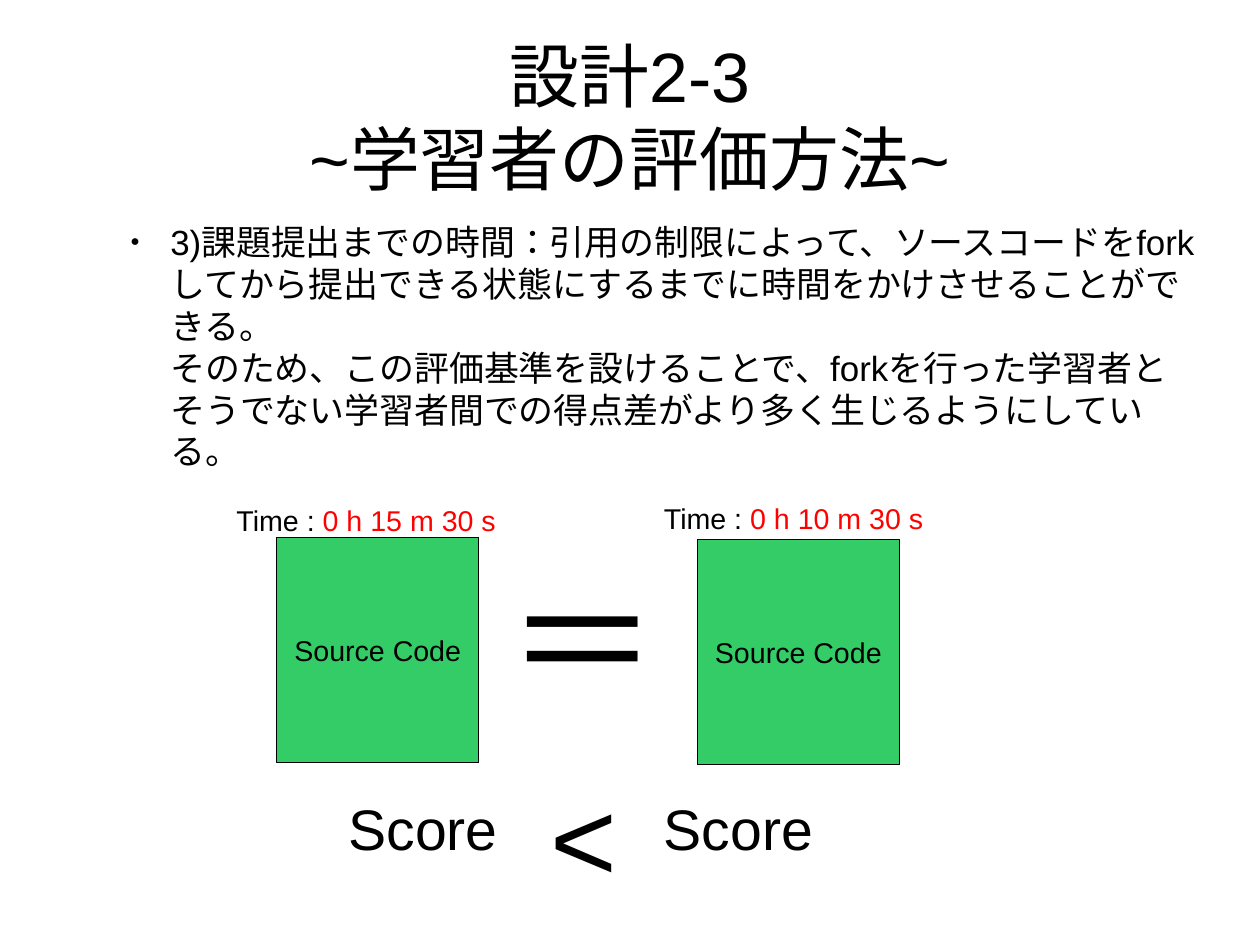
from dataclasses import dataclass
from typing import Any

from lxml import etree
from pptx import Presentation
from pptx import util as u
from pptx.dml.color import RGBColor
from pptx.enum import lang, shapes, text
from pptx.oxml import ns


def color(hex_string):
    return RGBColor.from_string(hex_string)


@dataclass
class SlideBuilder:
    slide: Any
    font: str = "Arial"
    ink: str = "000000"
    accent: str = "FF0000"
    box_fill: str = "33CC66"

    def style(self, paragraph, size, align):
        paragraph.alignment = align
        paragraph.font.name = self.font
        paragraph.font.size = u.Pt(size)
        paragraph.font.color.rgb = color(self.ink)
        # Japanese glyph forms, no punctuation beyond the margin
        paragraph._p.get_or_add_pPr().set("hangingPunct", "0")
        for run in paragraph.runs:
            run.font.language_id = lang.MSO_LANGUAGE_ID.JAPANESE

    def label(self, box, words, size, align=text.PP_ALIGN.LEFT,
              anchor=text.MSO_ANCHOR.TOP, inset=(0.1, 0.05), highlight=""):
        """Add a text box; the highlight follows the words in the accent color."""
        shape = self.slide.shapes.add_textbox(*map(u.Inches, box))
        frame = shape.text_frame
        frame.word_wrap = True
        frame.vertical_anchor = anchor
        frame.margin_left = frame.margin_right = u.Inches(inset[0])
        frame.margin_top = frame.margin_bottom = u.Inches(inset[1])
        paragraph = frame.paragraphs[0]
        paragraph.text = words
        if highlight:
            run = paragraph.add_run()
            run.text = highlight
            run.font.color.rgb = color(self.accent)
        self.style(paragraph, size, align)
        return paragraph

    def bullet(self, paragraph, left, hanging, percent):
        properties = paragraph._p.get_or_add_pPr()
        properties.set("marL", str(u.Inches(left)))
        properties.set("indent", str(-u.Inches(hanging)))
        # Bullet elements come before the default run properties
        marks = [("a:buSzPct", {"val": str(percent * 1000)}),
                 ("a:buFont", {"typeface": self.font}),
                 ("a:buChar", {"char": "●"})]
        defaults = properties.find(ns.qn("a:defRPr"))
        for tag, attributes in marks:
            defaults.addprevious(etree.Element(ns.qn(tag), attributes))

    def box(self, box, words, size):
        shape = self.slide.shapes.add_shape(
            shapes.MSO_SHAPE.RECTANGLE, *map(u.Inches, box))
        shape.shadow.inherit = False
        shape.fill.solid()
        shape.fill.fore_color.rgb = color(self.box_fill)
        shape.line.color.rgb = color(self.ink)
        shape.line.width = u.Pt(0)
        shape.text_frame.vertical_anchor = text.MSO_ANCHOR.MIDDLE
        paragraph = shape.text_frame.paragraphs[0]
        paragraph.text = words
        self.style(paragraph, size, text.PP_ALIGN.CENTER)


def main():
    presentation = Presentation()
    # Slide of 28 by 21 cm, a custom size
    presentation.slide_width = u.Cm(28)
    presentation.slide_height = u.Cm(21)
    presentation.element.find(ns.qn("p:sldSz")).attrib.pop("type", None)
    builder = SlideBuilder(
        presentation.slides.add_slide(presentation.slide_layouts[6]))

    # Title
    builder.label((0.55, 0.13, 9.92, 1.77), "設計2-3\v~学習者の評価方法~", 44,
                  text.PP_ALIGN.CENTER, text.MSO_ANCHOR.MIDDLE, (0, 0))

    # Explanation
    explanation = builder.label(
        (0.55, 1.93, 9.92, 5.46),
        "3)課題提出までの時間：引用の制限によって、ソースコードをforkしてから"
        "提出できる状態にするまでに時間をかけさせることができる。\v"
        "そのため、この評価基準を設けることで、forkを行った学習者と"
        "そうでない学習者間での得点差がより多く生じるようにしている。",
        22, inset=(0, 0))
    explanation.space_after = u.Pt(11.3)
    builder.bullet(explanation, 0.94, 0.35, 45)

    # Two submissions: source code, time and score
    submissions = [
        ((2.42, 4.7), (1.97, 4.35), 2.95, "0 h 15 m 30 s"),
        ((6.1, 4.72), (5.71, 4.33), 5.71, "0 h 10 m 30 s"),
    ]
    for code_corner, time_corner, score_left, duration in submissions:
        builder.box((*code_corner, 1.77, 1.97), "Source Code", 18)
        builder.label((*time_corner, 2.85, 0.38), "Time : ", 18,
                      highlight=duration)
        builder.label((score_left, 6.89, 1.77, 0.66), "Score", 36)

    # Comparison signs
    builder.label((4.33, 4.72, 2.76, 2.03), "＝", 96)
    builder.label((4.72, 6.66, 4.13, 1.22), "<", 72)

    presentation.save("out.pptx")


if __name__ == "__main__":
    main()
